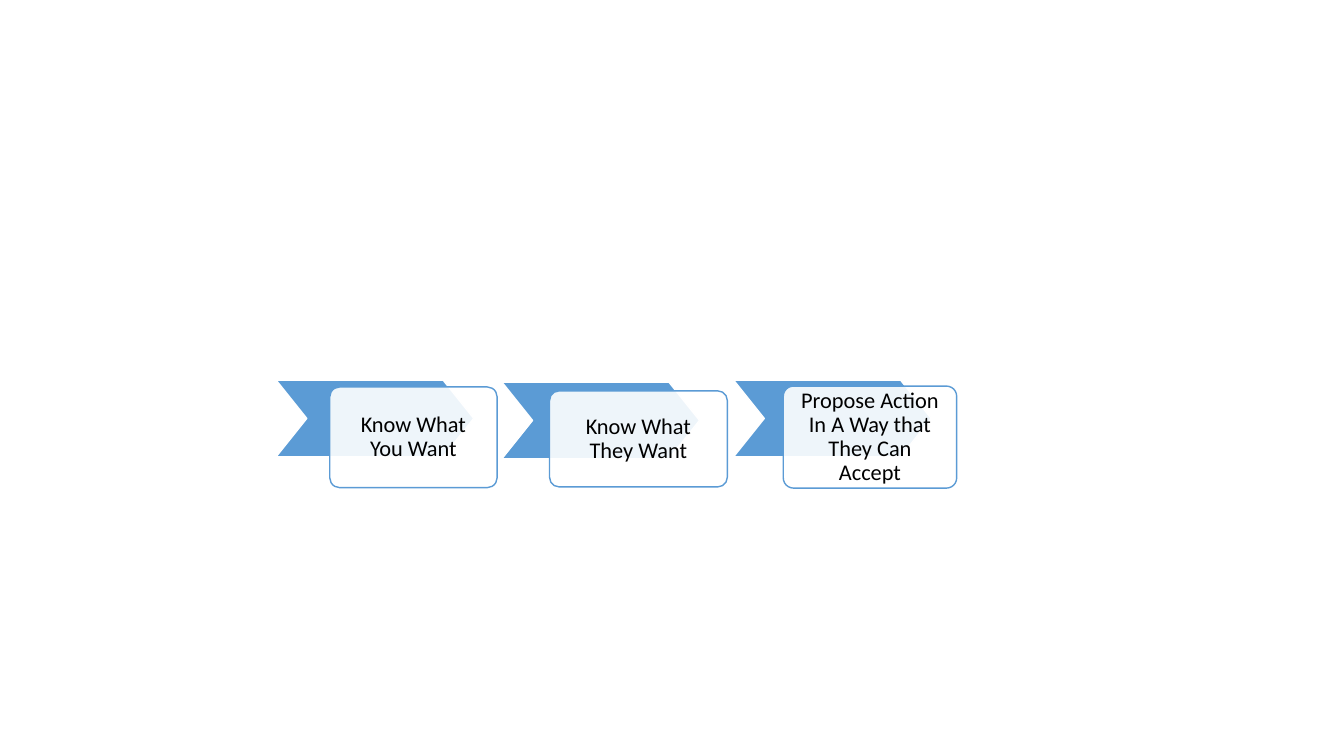
from lxml import etree
from pptx import Presentation
from pptx.dml.color import RGBColor
from pptx.enum.shapes import MSO_SHAPE
from pptx.enum.text import MSO_ANCHOR, PP_ALIGN
from pptx.oxml.ns import qn
from pptx.util import Cm, Pt

CHEVRON, CARD = MSO_SHAPE.CHEVRON, MSO_SHAPE.ROUNDED_RECTANGLE
MIDDLE, CENTER = MSO_ANCHOR.MIDDLE, PP_ALIGN.CENTER

COLORS = {"blue": "5B9BD5", "white": "FFFFFF", "text": "000000"}

# Each step: wording, chevron (left, top), card (left, top, width, height) in cm
STEPS = [
    ("Know What You Want", (6.96, 9.58), (8.31, 9.75, 4.22, 2.54)),
    ("Know What They Want", (12.65, 9.63), (13.85, 9.85, 4.48, 2.42)),
    ("Propose Action In A Way that They Can Accept",
     (18.49, 9.58), (19.74, 9.73, 4.37, 2.57)),
]
CHEVRON_SIZE = (4.98, 1.93)
CARD_OPACITY = 90
CARD_INSET = Cm(0.3)

FRAME_FORMAT = {
    "word_wrap": True, "vertical_anchor": MIDDLE,
    "margin_left": CARD_INSET, "margin_right": CARD_INSET,
    "margin_top": CARD_INSET, "margin_bottom": CARD_INSET,
}
PARAGRAPH_FORMAT = {"alignment": CENTER, "line_spacing": 0.9}
FONT_FORMAT = {"name": "Calibri", "size": Pt(16)}


def color(name):
    """Return the named colour."""
    return RGBColor.from_string(COLORS[name])


def apply_format(target, values):
    """Set every attribute in values on target."""
    for attribute, value in values.items():
        setattr(target, attribute, value)


def add_outlined(slide, preset, box, adjustment, fill, line):
    """Add a flat preset shape with a 1 pt outline; box is in cm."""
    shape = slide.shapes.add_shape(preset, *map(Cm, box))
    shape.adjustments[0] = adjustment
    shape.shadow.inherit = False
    shape.fill.solid()
    shape.fill.fore_color.rgb = color(fill)
    shape.line.color.rgb = color(line)
    shape.line.width = Pt(1)
    return shape


def set_opacity(shape, percent):
    """Make the solid fill of a shape partly transparent."""
    fill_color = shape._element.spPr.find(qn("a:solidFill"))[0]
    etree.SubElement(fill_color, qn("a:alpha")).set("val", str(percent * 1000))


def write_label(shape, wording):
    """Write centred wording into a shape."""
    frame = shape.text_frame
    apply_format(frame, FRAME_FORMAT)
    paragraph = frame.paragraphs[0]
    apply_format(paragraph, PARAGRAPH_FORMAT)
    run = paragraph.add_run()
    run.text = wording
    apply_format(run.font, FONT_FORMAT)
    run.font.color.rgb = color("text")


def add_step(slide, wording, chevron_corner, card_box):
    """Add one chevron with its labelled card in front."""
    add_outlined(slide, CHEVRON, chevron_corner + CHEVRON_SIZE, 0.4, "blue", "white")
    card = add_outlined(slide, CARD, card_box, 0.1, "white", "blue")
    set_opacity(card, CARD_OPACITY)
    write_label(card, wording)


presentation = Presentation()
presentation.slide_width, presentation.slide_height = Cm(33.87), Cm(19.05)
process_slide = presentation.slides.add_slide(presentation.slide_layouts[6])
for step in STEPS:
    add_step(process_slide, *step)
presentation.save("out.pptx")
